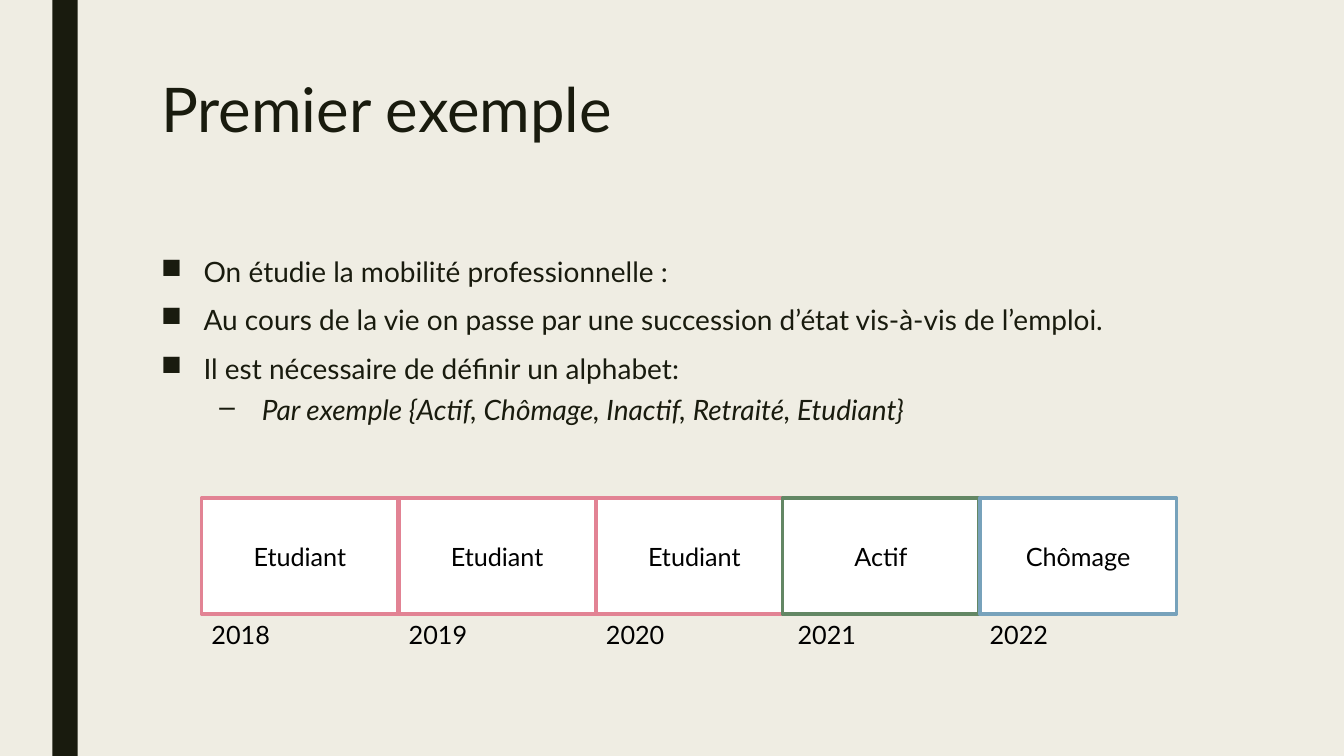
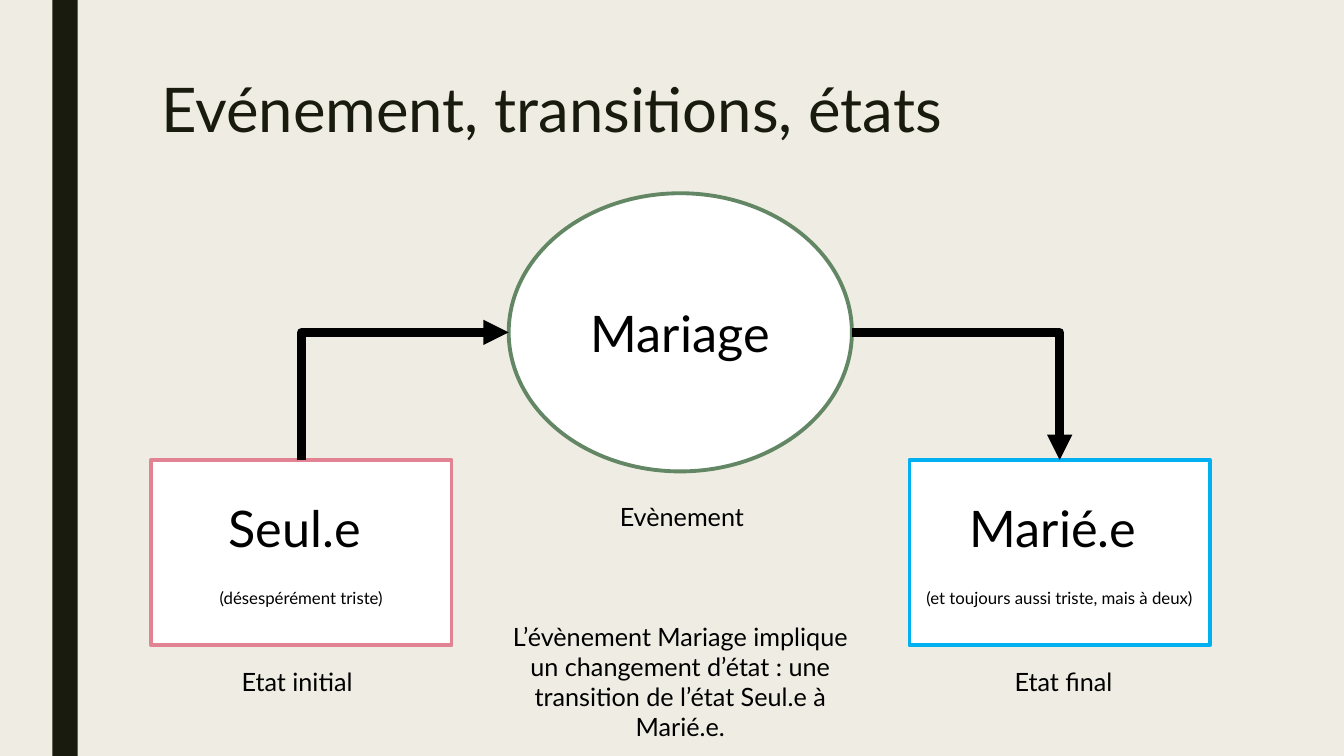
from dataclasses import dataclass
from typing import Any, NamedTuple

from lxml import etree
from pptx import Presentation
from pptx import util as u
from pptx.dml import color as c
from pptx.enum import shapes, text
from pptx.oxml import ns

ALIGN = text.PP_ALIGN
SHAPE = shapes.MSO_SHAPE


@dataclass(frozen=True)
class Theme:
    font: str = "Lato"
    paper: str = "EFEDE3"
    ink: str = "191B0E"
    black: str = "000000"
    white: str = "FFFFFF"
    pink: str = "E28394"
    green: str = "638764"
    blue: str = "77A2BB"
    sky: str = "00B0F0"
    title: int = 44
    heading: int = 36
    body: int = 20
    label: int = 18
    note: int = 12
    outline: float = 2.75
    arrow: float = 6


THEME = Theme()


class Area(NamedTuple):
    left: float
    top: float
    width: float
    height: float

    def lengths(self) -> list[u.Cm]:
        return [u.Cm(value) for value in self]


class Line(NamedTuple):
    words: str
    size: int = THEME.label
    color: str = THEME.black
    italic: bool = False
    format: dict[str, Any] = {}


class Bullet(NamedTuple):
    words: str
    mark: str = "■"
    margin: float = 1.07
    before: int = 10
    italic: bool = False


class State(NamedTuple):
    left: float
    label: str
    color: str
    year: str
    year_shift: float = 0


class Node(NamedTuple):
    kind: Any
    area: Area
    color: str
    lines: list[Line]


class Label(NamedTuple):
    area: Area
    words: str
    align: Any = ALIGN.LEFT


SLIDE = Area(0, 0, 33.87, 19.05)
BAND = Area(1.32, 0, 0.64, 19.05)
TITLE = Area(3.81, 1.9, 26.67, 4.11)
BODY = Area(3.81, 6.35, 26.67, 9.96)
HANGING = 1.07

BULLETS = [
    Bullet("On étudie la mobilité professionnelle :"),
    Bullet("Au cours de la vie on passe par une succession d’état vis-à-vis de l’emploi."),
    Bullet("Il est nécessaire de définir un alphabet:"),
    Bullet("Par exemple {Actif, Chômage, Inactif, Retraité, Etudiant}", "–", 2.54, 5, True),
]

STATE_TOP, STATE_WIDTH, STATE_HEIGHT = 12.55, 4.96, 2.92
STATE_STEP = 4.97
FIRST_STUDY, FIRST_WORK = 5.08, 19.72
STATES = [
    *(State(FIRST_STUDY + i * STATE_STEP, "Etudiant", THEME.pink, str(2018 + i)) for i in range(3)),
    State(FIRST_WORK, "Actif", THEME.green, "2021", 0.13),
    State(FIRST_WORK + STATE_STEP, "Chômage", THEME.blue, "2022"),
]


def status_lines(status: str, remark: str) -> list[Line]:
    gap = {"space_before": u.Pt(21.6)}
    return [Line(status, THEME.heading), Line(remark, THEME.note, format=gap)]


SINGLE = Node(SHAPE.RECTANGLE, Area(3.81, 11.59, 7.57, 4.67), THEME.pink,
              status_lines("Seul.e ", "(désespérément triste)"))
MARRIED = Node(SHAPE.RECTANGLE, Area(22.92, 11.59, 7.57, 4.67), THEME.sky,
               status_lines("Marié.e ", "(et toujours aussi triste, mais à deux)"))
WEDDING = Node(SHAPE.OVAL, Area(12.82, 4.87, 8.65, 7.01), THEME.green,
               [Line("Mariage", THEME.heading)])

LABELS = [
    Label(Area(25.32, 16.66, 5.94, 1.02), "Etat final"),
    Label(Area(5.84, 16.66, 5.94, 1.02), "Etat initial"),
    Label(Area(15.37, 12.5, 5.94, 1.02), "Evènement"),
    Label(Area(12.37, 15.52, 9.55, 3.33),
          "L’évènement Mariage implique un changement d’état : "
          "une transition de l’état Seul.e à Marié.e.", ALIGN.CENTER),
]


def rgb(value: str) -> c.RGBColor:
    return c.RGBColor.from_string(value)


def apply(target: Any, values: dict[str, Any]) -> None:
    for name, value in values.items():
        setattr(target, name, value)


def write(frame: Any, lines: list[Line], align: Any = ALIGN.LEFT) -> None:
    frame.word_wrap = True
    for index, line in enumerate(lines):
        para = frame.add_paragraph() if index else frame.paragraphs[0]
        apply(para, {"alignment": align, **line.format})
        span = para.add_run()
        span.text = line.words
        apply(span.font, {"name": THEME.font, "size": u.Pt(line.size), "italic": line.italic})
        span.font.color.rgb = rgb(line.color)


def add_text(page: Any, area: Area, lines: list[Line], align: Any = ALIGN.LEFT) -> Any:
    box = page.shapes.add_textbox(*area.lengths())
    write(box.text_frame, lines, align)
    return box


def add_box(page: Any, kind: Any, area: Area, fill: str) -> Any:
    box = page.shapes.add_shape(kind, *area.lengths())
    box.shadow.inherit = False
    box.fill.solid()
    box.fill.fore_color.rgb = rgb(fill)
    return box


def add_node(page: Any, node: Node) -> Any:
    box = add_box(page, node.kind, node.area, THEME.white)
    box.line.color.rgb = rgb(node.color)
    box.line.width = u.Pt(THEME.outline)
    box.text_frame.vertical_anchor = text.MSO_ANCHOR.MIDDLE
    write(box.text_frame, node.lines, ALIGN.CENTER)
    return box


def add_bullets(page: Any, area: Area, bullets: list[Bullet]) -> None:
    lines = [
        Line(bullet.words, THEME.body, THEME.ink, bullet.italic,
             {"line_spacing": 0.94, "space_before": u.Pt(bullet.before), "space_after": u.Pt(2)})
        for bullet in bullets
    ]
    box = add_text(page, area, lines)
    for para, bullet in zip(box.text_frame.paragraphs, bullets):
        settings = para._p.get_or_add_pPr()
        settings.set("marL", str(u.Cm(bullet.margin)))
        settings.set("indent", str(-u.Cm(HANGING)))
        etree.SubElement(settings, ns.qn("a:buChar"), char=bullet.mark)


def add_elbow(page: Any, start: Any, start_site: int, end: Any, end_site: int, arrow_end: str) -> None:
    toward_right = end.left > start.left
    begin_x = start.left + (start.width if toward_right else 0)
    begin_y = start.top + start.height // 2
    end_x = end.left + end.width // 2
    elbow = page.shapes.add_connector(
        shapes.MSO_CONNECTOR.ELBOW, begin_x, begin_y, end_x, end.top)
    elbow.line.color.rgb = rgb(THEME.black)
    elbow.line.width = u.Pt(THEME.arrow)
    properties = elbow._element.spPr
    properties.find(ns.qn("a:prstGeom")).set("prst", "bentConnector2")
    etree.SubElement(properties.find(ns.qn("a:ln")), ns.qn(f"a:{arrow_end}"), type="triangle")
    etree.SubElement(properties, ns.qn("a:effectLst"))
    joints = elbow._element.find(f".//{ns.qn('p:cNvCxnSpPr')}")
    for tag, box, site in (("a:stCxn", start, start_site), ("a:endCxn", end, end_site)):
        etree.SubElement(joints, ns.qn(tag), id=str(box.shape_id), idx=str(site))


def add_page(deck: Any, title: str) -> Any:
    page = deck.slides.add_slide(deck.slide_layouts[6])
    band = add_box(page, SHAPE.RECTANGLE, BAND, THEME.ink)
    band.line.fill.background()
    add_text(page, TITLE, [Line(title, THEME.title, THEME.ink, format={"line_spacing": 0.89})])
    return page


def build_example(deck: Any) -> None:
    page = add_page(deck, "Premier exemple")
    add_bullets(page, BODY, BULLETS)
    for state in STATES:
        area = Area(state.left, STATE_TOP, STATE_WIDTH, STATE_HEIGHT)
        add_node(page, Node(SHAPE.RECTANGLE, area, state.color, [Line(state.label)]))
    for state in STATES:
        area = Area(state.left + state.year_shift, STATE_TOP + STATE_HEIGHT, 3.73, 1.02)
        add_text(page, area, [Line(state.year)])


def build_transition(deck: Any) -> None:
    page = add_page(deck, "Evénement, transitions, états")
    single, married, wedding = (add_node(page, node) for node in (SINGLE, MARRIED, WEDDING))
    add_elbow(page, wedding, 2, single, 0, "headEnd")
    add_elbow(page, wedding, 6, married, 0, "tailEnd")
    for label in LABELS:
        add_text(page, label.area, [Line(label.words)], label.align)


def main() -> None:
    deck = Presentation()
    apply(deck, {"slide_width": u.Cm(SLIDE.width), "slide_height": u.Cm(SLIDE.height)})
    backdrop = deck.slide_master.background.fill
    backdrop.solid()
    backdrop.fore_color.rgb = rgb(THEME.paper)
    build_example(deck)
    build_transition(deck)
    deck.save("out.pptx")


if __name__ == "__main__":
    main()
